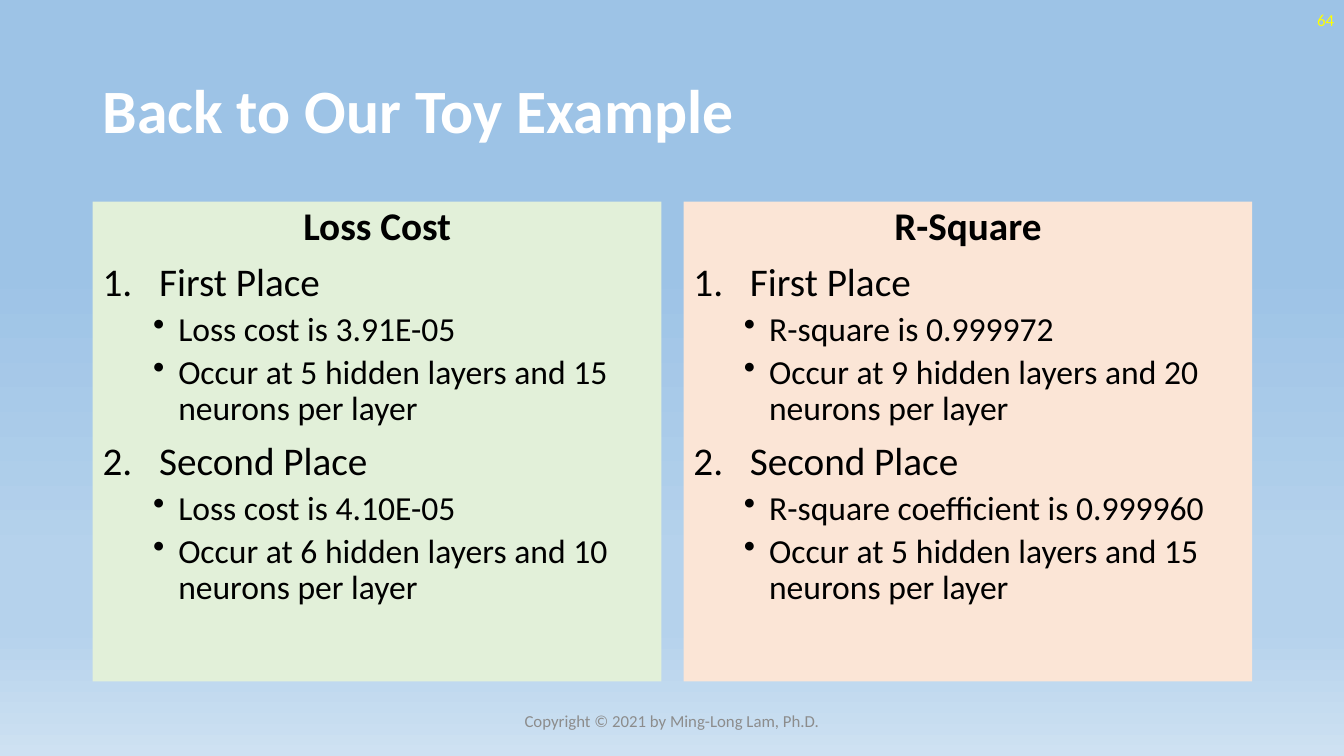
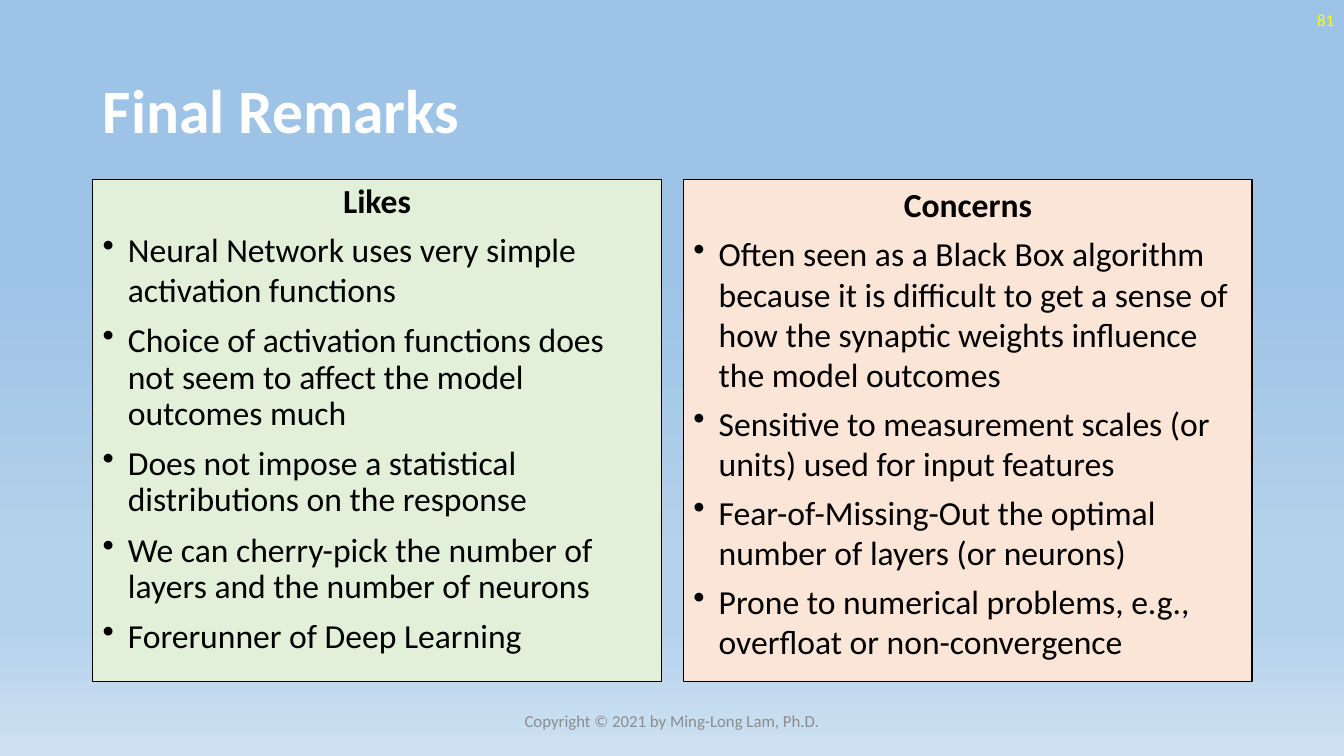
from dataclasses import dataclass
from typing import NamedTuple

from pptx import Presentation
from pptx.dml.color import RGBColor
from pptx.enum.shapes import MSO_SHAPE
from pptx.enum.text import MSO_ANCHOR, MSO_AUTO_SIZE, PP_ALIGN
from pptx.oxml import parse_xml
from pptx.oxml.ns import nsdecls
from pptx.util import Inches, Pt

LEFT, MID, RIGHT = PP_ALIGN.LEFT, PP_ALIGN.CENTER, PP_ALIGN.RIGHT
TOP, CENTRE = MSO_ANCHOR.TOP, MSO_ANCHOR.MIDDLE
RECT = MSO_SHAPE.RECTANGLE
FIXED = MSO_AUTO_SIZE.NONE

# Shared look
FONT = "Calibri"
WHITE, BLACK, YELLOW, GREY = "FFFFFF", "000000", "FFFF00", "8C8C8C"
GREEN, PEACH = "E2F0D9", "FBE5D6"
SKY = [(35, "9DC3E6"), (74, "B5D2EC"), (83, "B5D2EC"), (100, "CEE1F2")]
CREDIT = "Copyright © 2021 by Ming-Long Lam, Ph.D."

# Shared grid, in inches
WIDE, HIGH = 13.33, 7.5
EDGE, SPAN, GAP = 0.92, 11.5, 0.22
COL = (SPAN - GAP) / 2
BASE = 6.76

DOT = '<a:buChar {} char="•"/>'
NUM = '<a:buAutoNum {} type="arabicPeriod"/>'
PLAIN = "<a:buNone {}/>"


class Style(NamedTuple):
    size: float
    mark: str = PLAIN
    hang: float = 0
    left: float = 0
    lead: float = 0.9
    space: float = 10
    level: int = 0
    bold: bool = False
    align: PP_ALIGN = LEFT
    color: str = BLACK


NAME = Style(44, bold=True, color=WHITE)
PAGE = Style(12, lead=1, align=RIGHT, color=YELLOW)
FOOT = Style(12, lead=1, align=MID, color=GREY)
HEAD = Style(28, bold=True, align=MID)
RANK = Style(28, NUM, 0.56, 0.56)
FACT = Style(24, DOT, 0.25, 0.75, space=5, level=1)
TIGHT = Style(24, DOT, 0.25, 0.25)
LOOSE = TIGHT._replace(lead=1, space=6)
LIKE = HEAD._replace(size=24)
WORRY = LIKE._replace(lead=1)


class Line(NamedTuple):
    text: str
    style: Style


@dataclass
class Page:
    title: str
    number: int
    top: float
    panels: list[list[Line]]
    border: bool = False


def ranks(head: str, first: tuple[str, str], second: tuple[str, str]) -> list[Line]:
    """List the two best places with their facts."""
    lines = [Line(head, HEAD)]
    for place, facts in (("First Place", first), ("Second Place", second)):
        lines += [Line(place, RANK), *(Line(fact, FACT) for fact in facts)]
    return lines


PAGES = [
    Page("Back to Our Toy Example", 64, 2, [
        ranks("Loss Cost",
              ("Loss cost is 3.91E-05",
               "Occur at 5 hidden layers and 15 neurons per layer"),
              ("Loss cost is 4.10E-05",
               "Occur at 6 hidden layers and 10 neurons per layer")),
        ranks("R-Square",
              ("R-square is 0.999972",
               "Occur at 9 hidden layers and 20 neurons per layer"),
              ("R-square coefficient is 0.999960",
               "Occur at 5 hidden layers and 15 neurons per layer")),
    ]),
    Page("Final Remarks", 81, 1.78, [
        [
            Line("Likes", LIKE),
            Line("Neural Network uses very simple activation functions", LOOSE),
            Line("Choice of activation functions does not seem to affect "
                 "the model outcomes much", TIGHT),
            Line("Does not impose a statistical distributions on the response", TIGHT),
            Line("We can cherry-pick the number of layers and the number of neurons",
                 TIGHT),
            Line("Forerunner of Deep Learning", TIGHT),
        ],
        [
            Line("Concerns", WORRY),
            Line("Often seen as a Black Box algorithm because it is difficult to get "
                 "a sense of how the synaptic weights influence the model outcomes",
                 LOOSE),
            Line("Sensitive to measurement scales (or units) used for input features",
                 LOOSE),
            Line("Fear-of-Missing-Out the optimal number of layers (or neurons)", LOOSE),
            Line("Prone to numerical problems, e.g., overfloat or non-convergence",
                 LOOSE),
        ],
    ], border=True),
]


def rgb(code: str) -> RGBColor:
    return RGBColor.from_string(code)


def paint(master) -> None:
    """Give every slide the sky gradient, running downwards."""
    fill = master.background.fill
    fill.gradient()
    fill.gradient_angle = 270
    stops = "".join(
        f'<a:gs pos="{pos * 1000}"><a:srgbClr val="{code}"/></a:gs>'
        for pos, code in SKY)
    old = master.element.xpath(".//p:bg//a:gsLst")[0]
    new = parse_xml(f'<a:gsLst {nsdecls("a")}>{stops}</a:gsLst>')
    old.getparent().replace(old, new)


def write(shape, lines: list[Line], anchor: MSO_ANCHOR) -> None:
    """Fill a shape with styled paragraphs."""
    frame = shape.text_frame
    frame.word_wrap = True
    frame.auto_size = FIXED
    frame.vertical_anchor = anchor
    for i, (text, style) in enumerate(lines):
        para = frame.add_paragraph() if i else frame.paragraphs[0]
        para.text = text
        para.alignment = style.align
        para.level = style.level
        para.line_spacing = style.lead
        para.space_before = Pt(style.space if i else 0)
        props = para._p.get_or_add_pPr()
        props.set("marL", str(Inches(style.left)))
        props.set("indent", str(-Inches(style.hang)))
        props.append(parse_xml(style.mark.format(nsdecls("a"))))
        font = para.font
        font.name, font.size, font.bold = FONT, Pt(style.size), style.bold
        font.color.rgb = rgb(style.color)


def label(slide, box: tuple[float, ...], text: str, style: Style) -> None:
    shape = slide.shapes.add_textbox(*map(Inches, box))
    write(shape, [Line(text, style)], CENTRE)


def panel(slide, col: int, page: Page, code: str) -> None:
    """Draw one of the two tinted columns."""
    box = (EDGE + col * (COL + GAP), page.top, COL, BASE - page.top)
    shape = slide.shapes.add_shape(RECT, *map(Inches, box))
    shape.shadow.inherit = False
    shape.fill.solid()
    shape.fill.fore_color.rgb = rgb(code)
    if page.border:
        shape.line.color.rgb = rgb(BLACK)
        shape.line.width = Pt(1)
    else:
        shape.line.fill.background()
    write(shape, page.panels[col], TOP)


def build(deck, page: Page) -> None:
    slide = deck.slides.add_slide(deck.slide_layouts[5])
    # Title
    title = slide.shapes.title
    title.left, title.top = Inches(EDGE), Inches(0.4)
    title.width, title.height = Inches(SPAN), Inches(1.45)
    write(title, [Line(page.title, NAME)], CENTRE)
    # Columns
    for col, code in enumerate((GREEN, PEACH)):
        panel(slide, col, page, code)
    # Page number and footer
    label(slide, (WIDE - 3, 0, 3, 0.4), str(page.number), PAGE)
    label(slide, ((WIDE - 4.5) / 2, 6.95, 4.5, 0.4), CREDIT, FOOT)


def main() -> None:
    deck = Presentation()
    deck.slide_width, deck.slide_height = Inches(WIDE), Inches(HIGH)
    paint(deck.slide_master)
    for page in PAGES:
        build(deck, page)
    deck.save("out.pptx")


if __name__ == "__main__":
    main()
